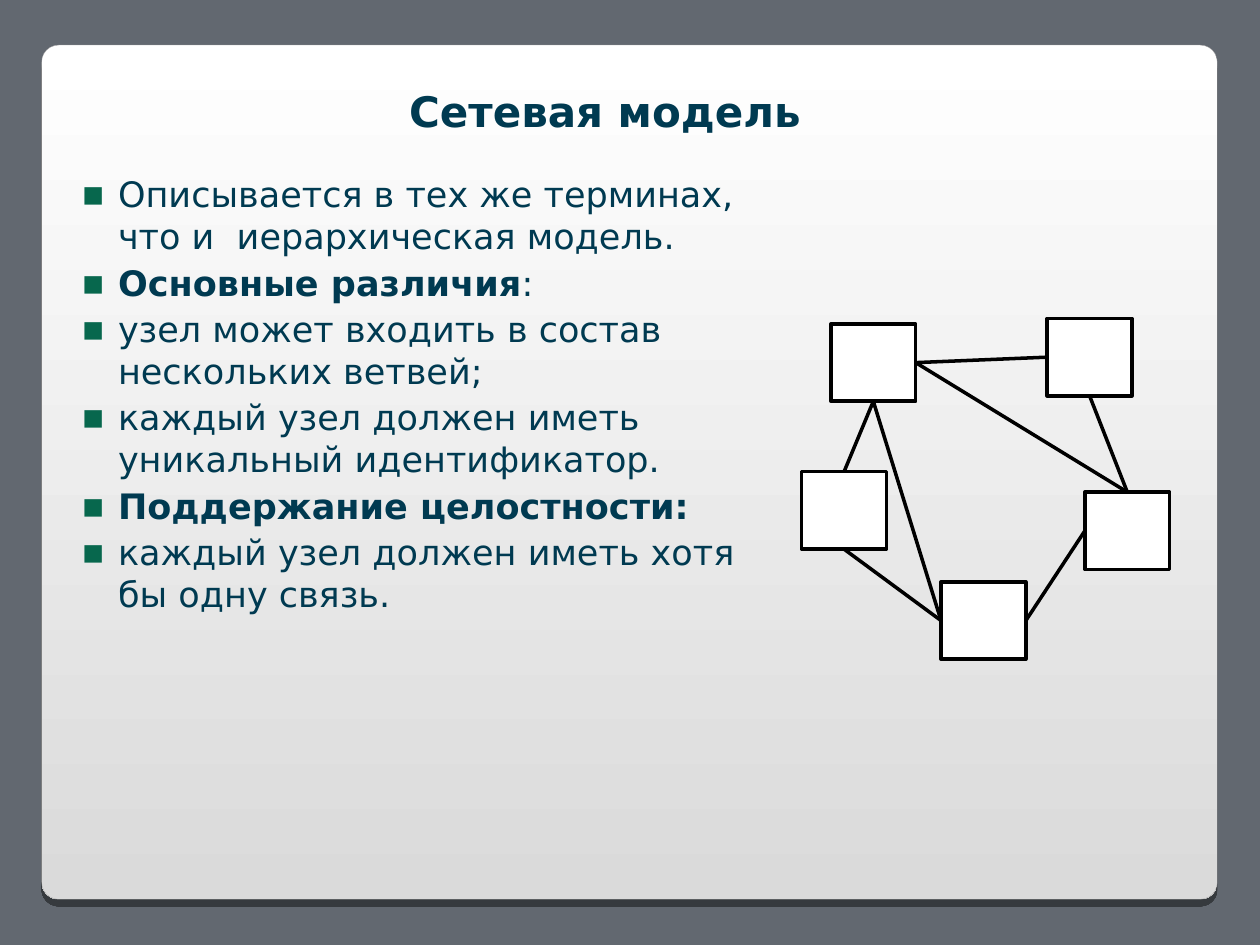
from dataclasses import dataclass

from lxml.etree import SubElement
from pptx import Presentation
from pptx.dml.color import RGBColor as Rgb
from pptx.enum.shapes import MSO_CONNECTOR as Connector, MSO_SHAPE as Shape
from pptx.enum.text import MSO_ANCHOR as Anchor, PP_ALIGN as Align
from pptx.oxml import parse_xml
from pptx.oxml.ns import nsdecls, qn
from pptx.util import Cm, Pt


@dataclass(frozen=True)
class Theme:
    font: str = "DejaVu Sans"
    title_size: float = 24
    body_size: float = 20
    backdrop: str = "626870"
    panel_top: str = "FFFFFF"
    panel_bottom: str = "DADADA"
    panel_edge: str = "A4A3A3"
    text: str = "003A51"
    bullet: str = "07674D"
    node: str = "FFFFFF"
    link: str = "000000"
    link_width: float = 2


TOP, LEFT, BOTTOM, RIGHT = range(4)  # connection sites of a rectangle
NODE_SIZE = (1.71, 1.56)

NODES = {
    "upper left": (16.75, 6.53),
    "upper right": (21.11, 6.42),
    "left": (16.16, 9.51),
    "right": (21.87, 9.92),
    "bottom": (18.97, 11.73),
}
LINKS = [
    ("upper left", RIGHT, "upper right", LEFT),
    ("upper left", BOTTOM, "left", TOP),
    ("upper left", RIGHT, "right", TOP),
    ("upper right", BOTTOM, "right", TOP),
    ("right", LEFT, "bottom", RIGHT),
    ("left", BOTTOM, "bottom", LEFT),
    ("upper left", BOTTOM, "bottom", LEFT),
]
# Each point is a list of (text, bold) runs.
POINTS = [
    [("Описывается в тех же терминах, что и  иерархическая модель.", False)],
    [("Основные различия", True), (":", False)],
    [("узел может входить в состав нескольких ветвей;", False)],
    [("каждый узел должен иметь уникальный идентификатор.", False)],
    [("Поддержание целостности:", True)],
    [("каждый узел должен иметь хотя бы одну связь.", False)],
]


class SlideBuilder:
    def __init__(self, slide, theme):
        self.slide = slide
        self.theme = theme

    def style_run(self, run, size, bold):
        run.font.name = self.theme.font
        run.font.size = Pt(size)
        run.font.bold = bold
        run.font.color.rgb = Rgb.from_string(self.theme.text)

    def backdrop(self):
        fill = self.slide.background.fill
        fill.solid()
        fill.fore_color.rgb = Rgb.from_string(self.theme.backdrop)

    def panel(self, left, top, width, height):
        """Rounded sheet with a vertical gradient and a hard shadow below."""
        panel = self.slide.shapes.add_shape(
            Shape.ROUNDED_RECTANGLE, Cm(left), Cm(top), Cm(width), Cm(height))
        panel.adjustments[0] = 0.02
        panel.fill.gradient()
        panel.fill.gradient_angle = 270
        colors = (self.theme.panel_top, self.theme.panel_bottom)
        for stop, color in zip(panel.fill.gradient_stops, colors):
            stop.color.rgb = Rgb.from_string(color)
        panel.line.color.rgb = Rgb.from_string(self.theme.panel_edge)
        panel.line.width = Pt(0.17)
        panel._element.spPr.append(parse_xml(
            f'<a:effectLst {nsdecls("a")}>'
            f'<a:outerShdw blurRad="0" dist="{Pt(4)}" dir="5400000" algn="t" rotWithShape="0">'
            '<a:srgbClr val="000000"><a:alpha val="44000"/></a:srgbClr>'
            '</a:outerShdw></a:effectLst>'))
        # The placeholder comes with the layout, so the sheet goes behind it.
        self.slide.shapes._spTree.insert(2, panel._element)

    def title(self, text, left, top, width, height):
        title = self.slide.shapes.title
        title.left, title.top = Cm(left), Cm(top)
        title.width, title.height = Cm(width), Cm(height)
        frame = title.text_frame
        frame.text = text
        frame.vertical_anchor = Anchor.BOTTOM
        paragraph = frame.paragraphs[0]
        paragraph.alignment = Align.CENTER
        self.style_run(paragraph.runs[0], self.theme.title_size, True)

    def bullets(self, points, left, top, width, height):
        box = self.slide.shapes.add_textbox(Cm(left), Cm(top), Cm(width), Cm(height))
        frame = box.text_frame
        frame.word_wrap = True
        frame.margin_left, frame.margin_right = Cm(0.5), Cm(0.25)
        frame.margin_top, frame.margin_bottom = Cm(0.25), Cm(0.13)
        for index, runs in enumerate(points):
            paragraph = frame.paragraphs[0] if index == 0 else frame.add_paragraph()
            if index:
                paragraph.space_before = Pt(2.5)
            self.add_bullet(paragraph)
            for text, bold in runs:
                run = paragraph.add_run()
                run.text = text
                self.style_run(run, self.theme.body_size, bold)

    def add_bullet(self, paragraph):
        properties = paragraph._p.get_or_add_pPr()
        properties.set("marL", str(Cm(0.74)))
        properties.set("indent", str(-Cm(0.74)))
        color = SubElement(properties, qn("a:buClr"))
        SubElement(color, qn("a:srgbClr"), val=self.theme.bullet)
        SubElement(properties, qn("a:buFont"), typeface=self.theme.font)
        SubElement(properties, qn("a:buChar"), char="▪")

    def node(self, left, top):
        width, height = NODE_SIZE
        node = self.slide.shapes.add_shape(
            Shape.RECTANGLE, Cm(left), Cm(top), Cm(width), Cm(height))
        node.shadow.inherit = False
        node.fill.solid()
        node.fill.fore_color.rgb = Rgb.from_string(self.theme.node)
        self.style_line(node.line)
        return node

    def link(self, start, start_site, end, end_site):
        link = self.slide.shapes.add_connector(Connector.STRAIGHT, 0, 0, 0, 0)
        link.begin_connect(start, start_site)
        link.end_connect(end, end_site)
        self.style_line(link.line)
        SubElement(link._element.spPr, qn("a:effectLst"))

    def style_line(self, line):
        line.color.rgb = Rgb.from_string(self.theme.link)
        line.width = Pt(self.theme.link_width)


def main():
    deck = Presentation()
    deck.slide_width, deck.slide_height = Cm(25.4), Cm(19.05)
    title_only = deck.slide_layouts[5]
    builder = SlideBuilder(deck.slides.add_slide(title_only), Theme())

    builder.backdrop()
    builder.panel(0.84, 0.91, 23.7, 17.22)
    builder.title("Сетевая модель", 2.95, 0.99, 18.49, 1.88)
    builder.bullets(POINTS, 1.14, 3.23, 14.15, 13.59)
    nodes = {name: builder.node(*corner) for name, corner in NODES.items()}
    for start, start_site, end, end_site in LINKS:
        builder.link(nodes[start], start_site, nodes[end], end_site)

    deck.save("out.pptx")


if __name__ == "__main__":
    main()
